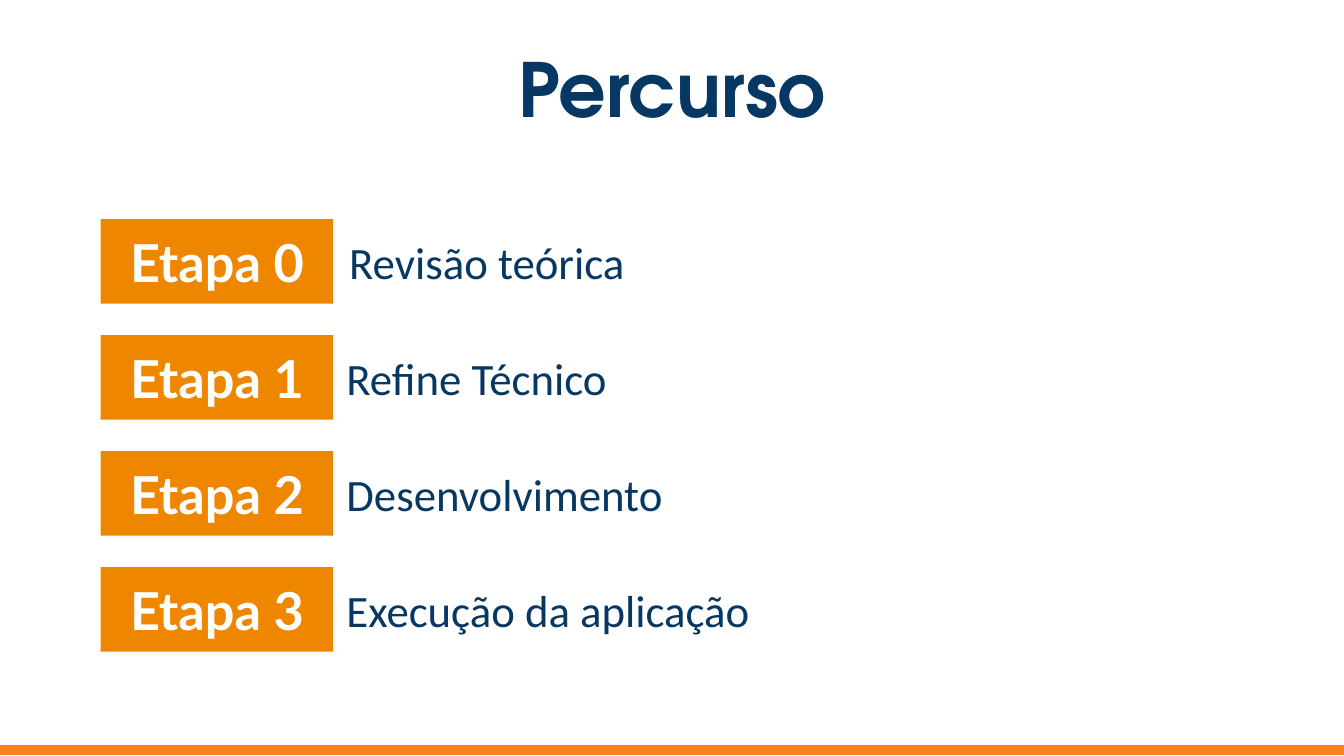
from pptx import Presentation
from pptx.dml.color import RGBColor
from pptx.enum.shapes import MSO_SHAPE
from pptx.enum.text import MSO_ANCHOR, MSO_AUTO_SIZE, PP_ALIGN
from pptx.util import Inches, Pt

# Widescreen, 16:9
WIDTH = 10
HEIGHT = WIDTH * 9 / 16
COLORS = {"navy": "073763", "tag": "EF8600", "footer": "F78321", "white": "FFFFFF"}

# Stage name, description, description left and width
STAGES = [
    ("Etapa 0", "Revisão teórica", 2.5, 5.45),
    ("Etapa 1", "Refine Técnico", 2.48, 3.94),
    ("Etapa 2", "Desenvolvimento", 2.48, 4.67),
    ("Etapa 3", "Execução da aplicação", 2.48, 4.67),
]


def color(name):
    return RGBColor.from_string(COLORS[name])


def write(shape, text, font_name, size, color_name, bold=False,
          align=PP_ALIGN.CENTER, anchor=MSO_ANCHOR.MIDDLE, inset=0.1):
    """Put one formatted paragraph in a shape."""
    frame = shape.text_frame
    frame.text = text
    frame.word_wrap = True
    frame.auto_size = MSO_AUTO_SIZE.NONE
    frame.vertical_anchor = anchor
    frame.margin_left = frame.margin_right = Inches(0.1)
    frame.margin_top = frame.margin_bottom = Inches(inset)
    paragraph = frame.paragraphs[0]
    paragraph.alignment = align
    font = paragraph.font
    font.name, font.size, font.bold = font_name, Pt(size), bold
    font.color.rgb = color(color_name)


def add_bar(slide, box, color_name):
    """Add a plain filled rectangle."""
    bar = slide.shapes.add_shape(MSO_SHAPE.RECTANGLE, *map(Inches, box))
    bar.shadow.inherit = False
    bar.fill.solid()
    bar.fill.fore_color.rgb = color(color_name)
    bar.line.fill.background()
    return bar


def place_title(slide, box, text):
    title = slide.shapes.title
    title.left, title.top, title.width, title.height = map(Inches, box)
    write(title, text, "TeX Gyre Adventor", 40, "navy", bold=True)


def add_stages(slide, box):
    """Stack the stages in equal rows, each a tag with its description."""
    left, top, tag_width, height = box
    tag_height, label_height = 0.63, 0.5
    pitch = (height - tag_height) / (len(STAGES) - 1)
    for row, (name, description, label_left, label_width) in enumerate(STAGES):
        row_top = top + row * pitch
        tag = add_bar(slide, (left, row_top, tag_width, tag_height), "tag")
        write(tag, name, "Lato", 28, "white", bold=True)
        label_top = row_top + (tag_height - label_height) / 2
        label = slide.shapes.add_textbox(
            *map(Inches, (label_left, label_top, label_width, label_height)))
        write(label, description, "Calibri", 24, "navy", align=PP_ALIGN.LEFT,
              anchor=MSO_ANCHOR.TOP, inset=0.05)


def add_footer(slide, box):
    footer = add_bar(slide, box, "footer")
    footer.line.color.rgb = color("footer")
    footer.line.width = Pt(0.75)


def main():
    presentation = Presentation()
    presentation.slide_width = Inches(WIDTH)
    presentation.slide_height = Inches(HEIGHT)
    slide = presentation.slides.add_slide(presentation.slide_layouts[5])

    place_title(slide, (0.34, 0.33, WIDTH - 2 * 0.34, 0.65), "Percurso")
    add_stages(slide, (0.75, 1.63, 1.73, 3.22))
    add_footer(slide, (0, 5.55, WIDTH, 0.06))

    presentation.save("out.pptx")


if __name__ == "__main__":
    main()
